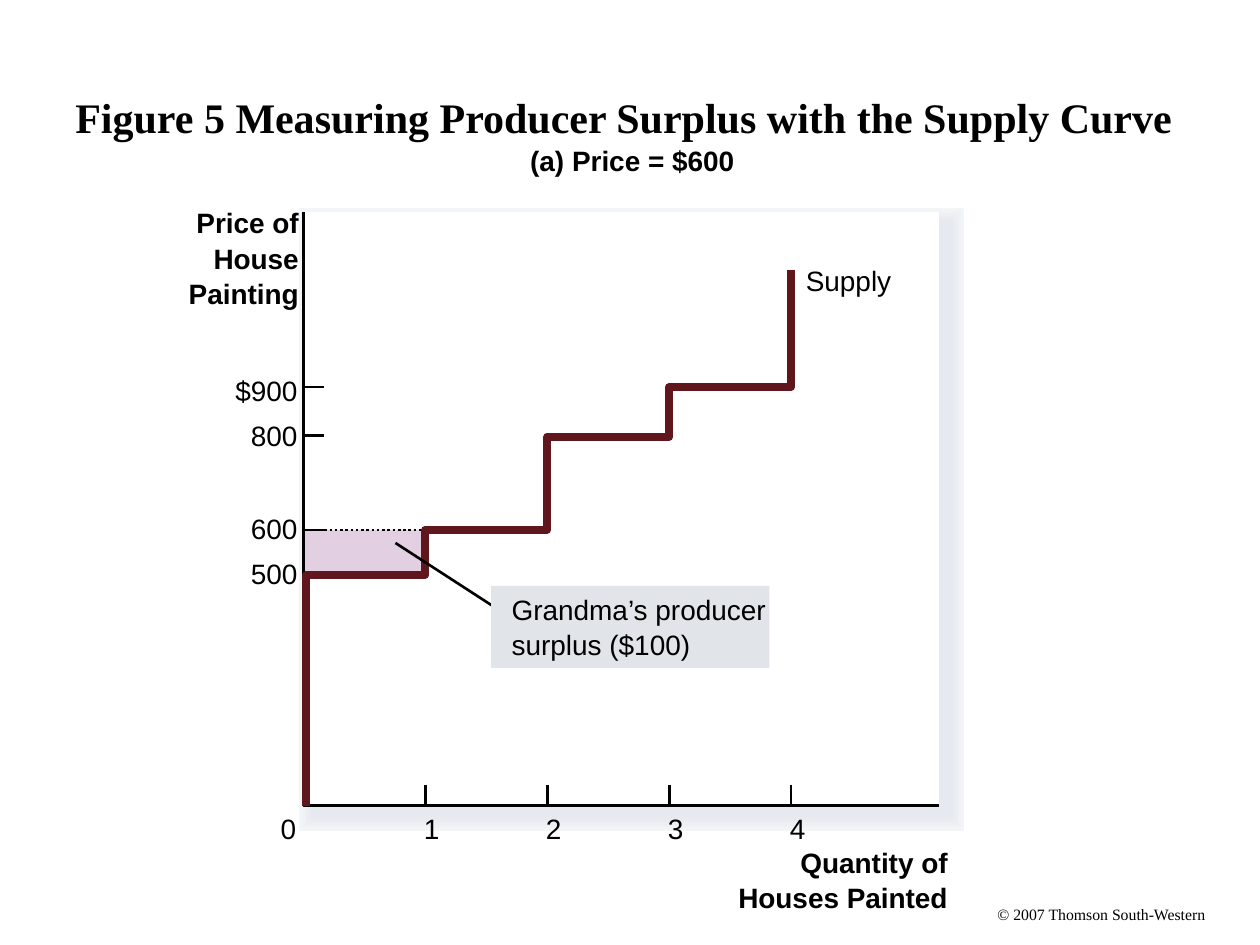
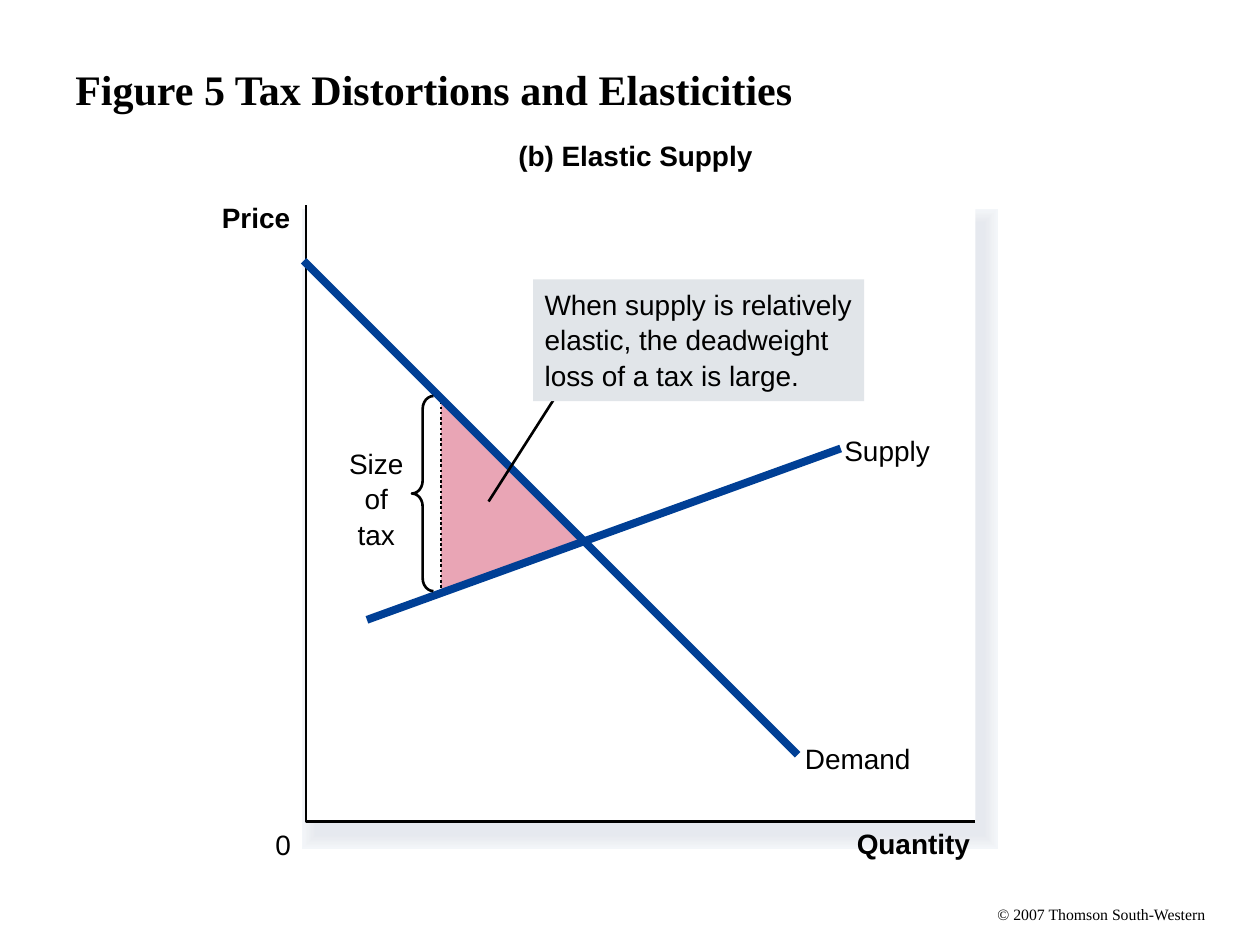
from lxml import etree
from pptx import Presentation
from pptx.dml.color import RGBColor
from pptx.enum.dml import MSO_LINE
from pptx.enum.shapes import MSO_CONNECTOR, MSO_SHAPE
from pptx.enum.text import MSO_ANCHOR, PP_ALIGN
from pptx.oxml.ns import qn
from pptx.util import Pt

BLACK = RGBColor(0x00, 0x00, 0x00)
WHITE = RGBColor(0xFF, 0xFF, 0xFF)
CALLOUT_GRAY = RGBColor(0xE1, 0xE5, 0xE9)
SURPLUS_LILAC = RGBColor(0xE2, 0xCF, 0xE1)
LOSS_PINK = RGBColor(0xE9, 0xA5, 0xB5)
STEP_MAROON = RGBColor(0x5F, 0x16, 0x1D)
CURVE_BLUE = RGBColor(0x00, 0x3F, 0x95)
GLOW = [RGBColor.from_string(c) for c in (
    "F3F6F9", "F2F4F8", "F1F4F7", "F0F2F5", "EEF1F4", "EDEFF3",
    "EBEEF2", "EAECF1", "E9EBF0", "E7EAEF", "E6E9EF")]

SERIF, SANS = "Times New Roman", "Arial"
THIN, THICK, GLOW_STEP = 1.5, 4.5, 1.5
LINE_H, LINE_GAP = 19.4, 1
LEFT, CENTER, RIGHT = PP_ALIGN.LEFT, PP_ALIGN.CENTER, PP_ALIGN.RIGHT


def add_text(s, box, lines, size=16, font=SANS, bold=False, align=LEFT):
    """Put lines, one paragraph each, in a box without insets."""
    tf = s.shapes.add_textbox(*map(Pt, box)).text_frame
    tf.margin_left = tf.margin_right = tf.margin_top = tf.margin_bottom = 0
    tf.word_wrap = False
    for i, line in enumerate(lines):
        p = tf.add_paragraph() if i else tf.paragraphs[0]
        p.alignment = align
        if i:
            p.space_before = Pt(LINE_GAP)
        r = p.add_run()
        r.text = line
        r.font.size, r.font.name, r.font.bold = Pt(size), font, bold
        r.font.color.rgb = BLACK
    return tf


def add_label(s, left, top, width, *lines, bold=False, align=LEFT):
    height = len(lines) * (LINE_H + LINE_GAP) - LINE_GAP
    add_text(s, (left, top, width, height), lines, bold=bold, align=align)


def add_title(s, top, text):
    tf = add_text(s, (36, top, 648, 90), [text], 24, SERIF, True)
    tf.word_wrap = True
    tf.margin_left = tf.margin_right = Pt(7.2)
    tf.vertical_anchor = MSO_ANCHOR.MIDDLE


def add_footer(s):
    add_text(s, (570, 517, 122, 10.8),
             ["© 2007 Thomson South-Western"], 9, SERIF)


def paint(sp, fill=None, line=None, width=THIN):
    sp.shadow.inherit = False
    if fill is None:
        sp.fill.background()
    else:
        sp.fill.solid()
        sp.fill.fore_color.rgb = fill
    if line is None:
        sp.line.fill.background()
    else:
        sp.line.color.rgb = line
        sp.line.width = Pt(width)


def add_rect(s, box, fill, line=None, width=THIN):
    """Draw a rectangle; its outline, if any, has square corners."""
    sp = s.shapes.add_shape(MSO_SHAPE.RECTANGLE, *map(Pt, box))
    paint(sp, fill, line, width)
    if line is not None:
        ln = sp._element.spPr.find(qn("a:ln"))
        etree.SubElement(ln, qn("a:miter"), lim="800000")


def add_line(s, start, end, color=BLACK, width=THIN, dotted=False):
    cx = s.shapes.add_connector(MSO_CONNECTOR.STRAIGHT, *map(Pt, start + end))
    cx.line.color.rgb = color
    cx.line.width = Pt(width)
    if dotted:
        cx.line.dash_style = MSO_LINE.ROUND_DOT
    etree.SubElement(cx._element.spPr, qn("a:effectLst"))


def add_path(s, points, fill=None, line=None, width=THIN):
    """Draw straight segments through points; a filled path is closed."""
    start, *rest = [(Pt(x), Pt(y)) for x, y in points]
    builder = s.shapes.build_freeform(*start)
    builder.add_line_segments(rest, close=fill is not None)
    paint(builder.convert_to_shape(), fill, line, width)


def add_panel(s, glow_box, plot_box):
    """Draw the soft edge as ever narrower outlines, then the white plot."""
    for i, color in enumerate(GLOW):
        add_rect(s, glow_box, color, color, GLOW_STEP * (len(GLOW) - i))
    add_rect(s, plot_box, WHITE)


def add_axes(s, plot_box):
    left, top, width, height = plot_box
    bottom = top + height
    add_path(s, [(left, top), (left, bottom), (left + width, bottom)],
             line=BLACK)


def add_callout(s, box, pointer, text_left, text_top, *lines):
    add_line(s, *pointer)
    add_rect(s, box, CALLOUT_GRAY)
    add_label(s, text_left, text_top, box[2], *lines)


def build_producer_surplus(s):
    plot = left, top, width, height = 173.3, 121, 363.2, 339.4
    bottom = top + height
    tick = 12
    house_x = [left + 69.7 * n for n in range(5)]
    price_y = {"$900": 221.2, "800": 249, "600": 302.8, "500": 328.6}
    label_top = {"$900": 213.5, "800": 239, "600": 292.3, "500": 318.2}
    y900, y800, y600, y500 = price_y.values()

    add_title(s, 21.6, "Figure 5 Measuring Producer Surplus "
                       "with the Supply Curve")
    add_panel(s, (179.3, 126.9, 363.6, 339.8), plot)
    add_rect(s, (left, y600, house_x[1] - left, y500 - y600), SURPLUS_LILAC)
    for price, y in price_y.items():
        add_line(s, (left + tick, y), (left, y))
        add_label(s, 130, label_top[price], 40, price, align=RIGHT)
    for n, x in enumerate(house_x):
        if n:
            add_line(s, (x, bottom - tick), (x, bottom))
        label_left = x - 0.8 if n else 160.4
        add_label(s, label_left, 463.7, 10, str(n))
    add_line(s, (left, y600), (house_x[1], y600), dotted=True)
    add_axes(s, plot)

    add_label(s, 303, 82.1, 122, "(a) Price = $600", bold=True)
    add_label(s, 100, 117.7, 70.8, "Price of", "House", "Painting",
              bold=True, align=RIGHT)
    add_label(s, 410, 483.2, 131.6, "Quantity of", "Houses Painted",
              bold=True, align=RIGHT)

    steps = [(left + 1.7, bottom), (left + 1.7, y500)]
    heights = [y500, y600, y800 + 0.6, y900, 154.2]
    for x, low, high in zip(house_x[1:], heights, heights[1:]):
        steps += [(x, low), (x, high)]
    add_path(s, steps, line=STEP_MAROON, width=THICK)
    add_label(s, 460.5, 150.6, 54, "Supply")
    add_callout(s, (280.6, 334.8, 159.1, 46.9), ((226, 310.3), (285, 348.5)),
                292.4, 338.6, "Grandma’s producer", "surplus ($100)")


def build_tax_distortion(s):
    plot = 174.8, 117.4, 382.6, 352
    tax_x, tax_top, tax_bottom = 252, 226.3, 337.8

    add_title(s, 5.8, "Figure 5 Tax Distortions and Elasticities")
    add_panel(s, (180.9, 127.6, 381, 349.2), plot)
    add_path(s, [(tax_x, 227.5), (tax_x, 339.1), (333.4, 308.9)], LOSS_PINK)
    add_line(s, (tax_x, tax_top), (tax_x, tax_bottom), dotted=True)
    add_axes(s, plot)

    add_label(s, 296.2, 79.3, 140, "(b) Elastic Supply", bold=True)
    add_label(s, 126.8, 114.6, 44, "Price", bold=True)
    add_label(s, 157.4, 472.9, 10, "0")
    add_label(s, 489.6, 472.5, 70, "Quantity", bold=True)

    add_line(s, (455.8, 431.3), (173.5, 149), CURVE_BLUE, THICK)
    add_label(s, 460, 423.7, 66, "Demand")
    add_line(s, (480.4, 256.3), (209.7, 354.2), CURVE_BLUE, THICK)
    add_label(s, 482.5, 247.7, 54, "Supply")

    brace = s.shapes.add_shape(MSO_SHAPE.LEFT_BRACE, Pt(235.4), Pt(tax_top),
                               Pt(12.3), Pt(tax_bottom - tax_top))
    brace.adjustments[0] = 0.6
    paint(brace, line=BLACK)
    add_label(s, 195, 255.2, 40, "Size", "of", "tax", align=CENTER)
    add_callout(s, (304.6, 159.6, 189.2, 69.6), ((319.7, 223.2), (279.2, 286.6)),
                311.2, 164.3, "When supply is relatively",
                "elastic, the deadweight", "loss of a tax is large.")


def main():
    prs = Presentation()
    prs.slide_width, prs.slide_height = Pt(720), Pt(540)
    for build in (build_producer_surplus, build_tax_distortion):
        s = prs.slides.add_slide(prs.slide_layouts[6])
        add_footer(s)
        build(s)
    prs.save("out.pptx")


if __name__ == "__main__":
    main()
